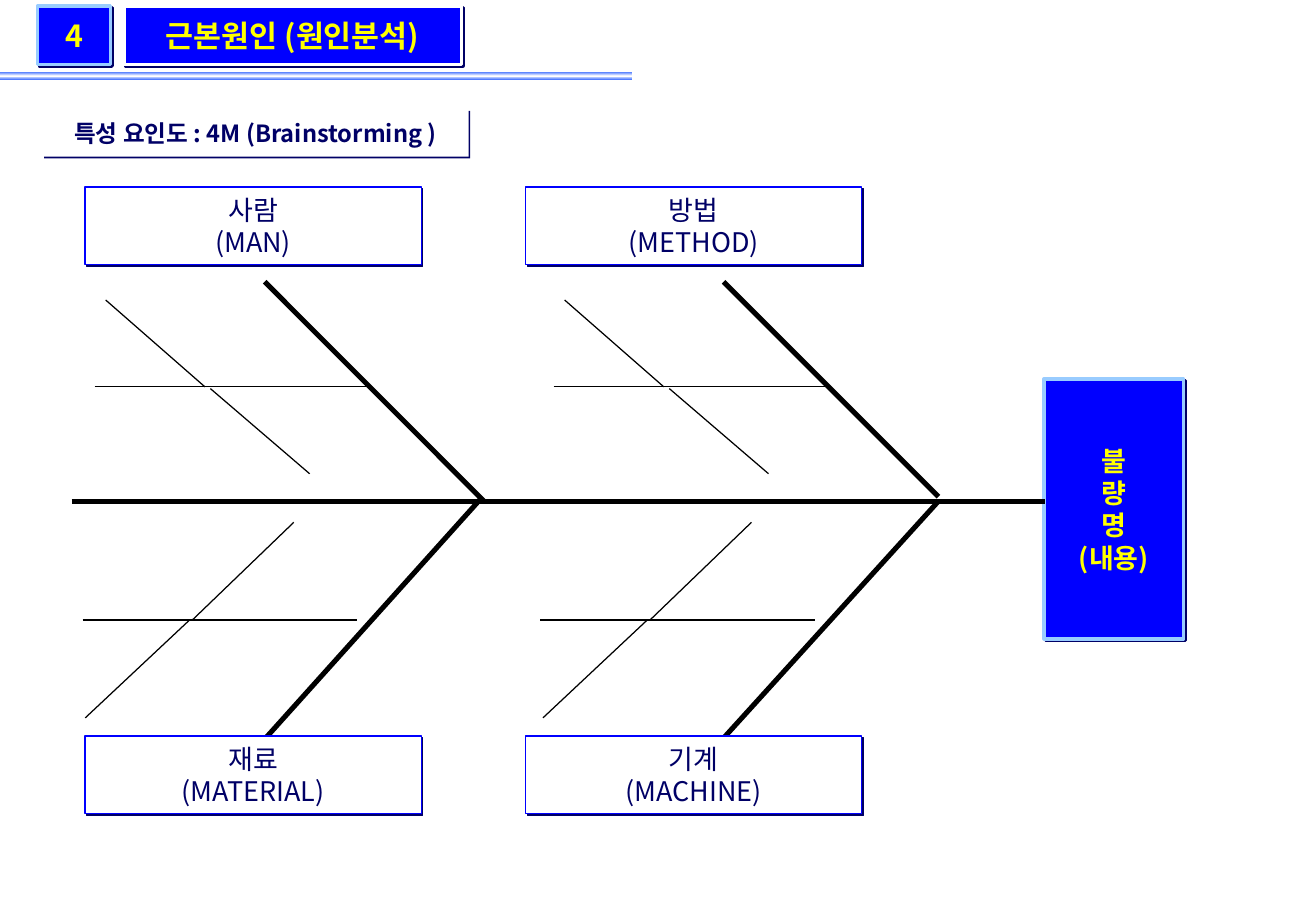
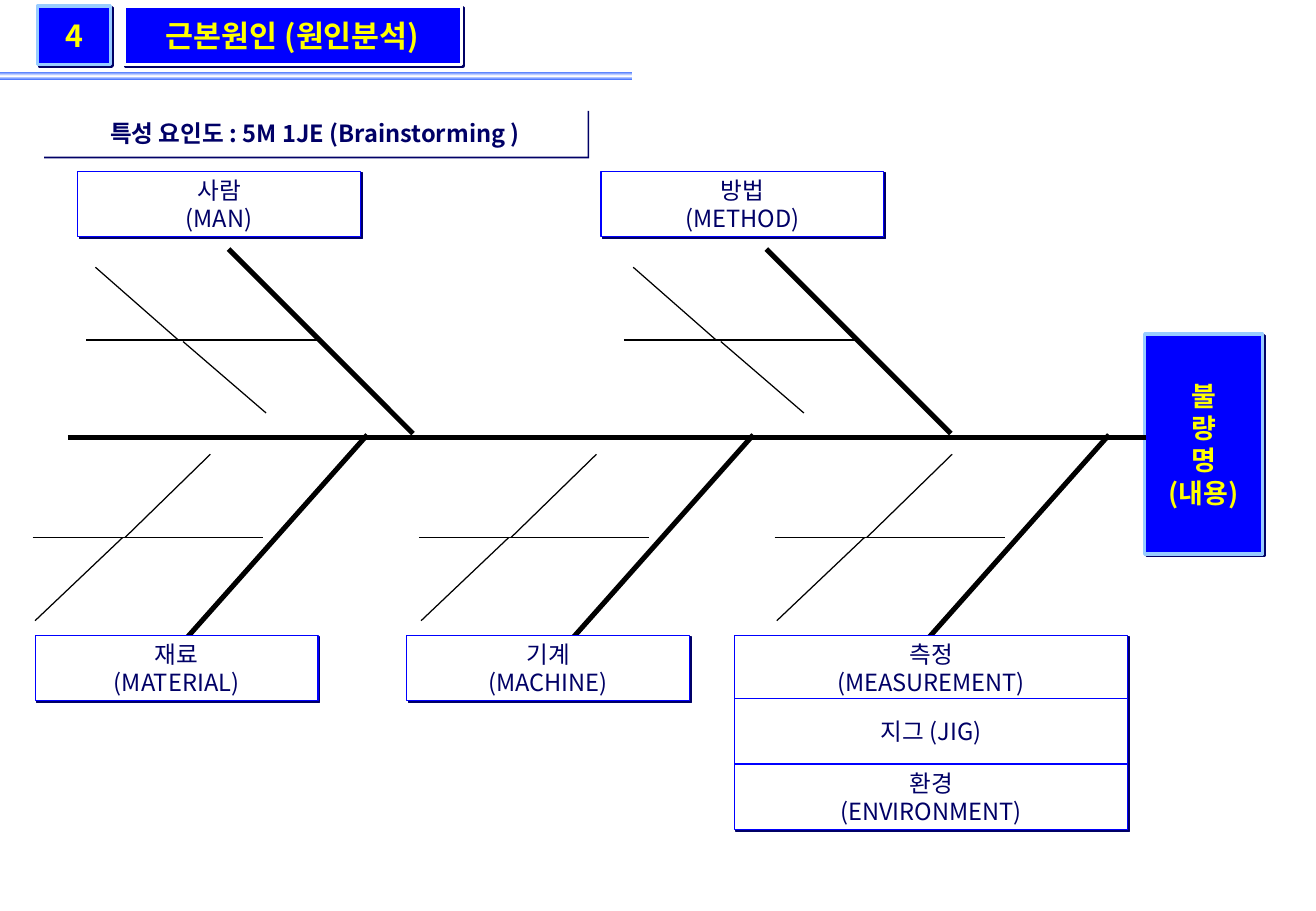
import copy

import pptx
import pptx.dml.color
import pptx.enum.shapes
import pptx.enum.text
import pptx.oxml
import pptx.oxml.ns
import pptx.util
from pptx.util import Inches

COLORS = {
    "blue": "0000FF",
    "sky": "99CCFF",
    "band": "3366FF",
    "navy": "000066",
    "yellow": "FFFF00",
    "white": "FFFFFF",
    "black": "000000",
}
FONT = "Noto Sans CJK KR"
LABEL_SIZE = {"large": 16, "small": 14}

# Twig lines as fractions of the twig box: x1, y1, x2, y2
UPPER_TWIGS = [(0, 0.5, 1, 0.5), (0.04, 0, 0.4, 0.5), (0.42, 0.51, 0.78, 1)]
LOWER_TWIGS = [(0, 0.5, 1, 0.5), (0.77, 0, 0.4, 0.5), (0.39, 0.5, 0.01, 1)]


def qn(tag):
    return pptx.oxml.ns.qn(tag)


def rgb(name):
    return pptx.dml.color.RGBColor.from_string(COLORS[name])


def add_rect(slide, box):
    sp = slide.shapes.add_shape(
        pptx.enum.shapes.MSO_SHAPE.RECTANGLE, *(Inches(v) for v in box))
    sp.shadow.inherit = False
    return sp


def add_shadow(sp):
    """Give the shape a hard navy shadow to the lower right."""
    effects = sp._element.spPr.find(qn("a:effectLst"))
    effects.append(pptx.oxml.parse_xml(
        f'<a:outerShdw {pptx.oxml.ns.nsdecls("a")} blurRad="0" dist="17961" '
        f'dir="2700000" algn="ctr" rotWithShape="0">'
        f'<a:srgbClr val="{COLORS["navy"]}"/></a:outerShdw>'))


def add_panel(slide, box, text, size, fill="white", line=None, width=0.75,
              color="navy", bold=False):
    """Add a shadowed rectangle with centred text."""
    sp = add_rect(slide, box)
    sp.fill.solid()
    sp.fill.fore_color.rgb = rgb(fill)
    if line:
        sp.line.color.rgb = rgb(line)
        sp.line.width = pptx.util.Pt(width)
    else:
        sp.line.fill.background()
    add_shadow(sp)
    tf = sp.text_frame
    tf.word_wrap = False
    tf.vertical_anchor = pptx.enum.text.MSO_ANCHOR.MIDDLE
    tf.text = text
    for p in tf.paragraphs:
        p.alignment = pptx.enum.text.PP_ALIGN.CENTER
        p.font.size = pptx.util.Pt(size)
        p.font.bold = bold
        p.font.color.rgb = rgb(color)
        p.font.name = FONT
        ea = p.font._element.makeelement(qn("a:ea"), {"typeface": FONT})
        p.font._element.append(ea)


def add_line(slide, x1, y1, x2, y2, width):
    line = slide.shapes.add_connector(
        pptx.enum.shapes.MSO_CONNECTOR.STRAIGHT,
        Inches(x1), Inches(y1), Inches(x2), Inches(y2))
    line.line.color.rgb = rgb("black")
    line.line.width = pptx.util.Pt(width)
    spPr = line._element.spPr
    spPr.append(spPr.makeelement(qn("a:effectLst"), {}))


def add_band(slide):
    """Add the header band, blue at both edges and white in the middle."""
    sp = add_rect(slide, (0, 0.59, 5.21, 0.07))
    sp.line.fill.background()
    sp.fill.gradient()
    sp.fill.gradient_angle = 90
    stops = sp.fill.gradient_stops
    for stop, position, color in zip(stops, (0, 1), ("band", "band")):
        stop.position = position
        stop.color.rgb = rgb(color)
    first = stops[0]._gs
    first.addnext(copy.deepcopy(first))
    middle = sp.fill.gradient_stops[1]
    middle.position = 0.5
    middle.color.rgb = rgb("white")


def add_header(slide, subtitle, subtitle_width):
    add_band(slide)
    title = dict(size=18, fill="blue", width=2, color="yellow", bold=True)
    add_panel(slide, (1.02, 0.05, 2.78, 0.48), "근본원인 (원인분석)",
              line="white", **title)
    add_panel(slide, (0.31, 0.05, 0.6, 0.48), "4", line="sky", **title)
    add_panel(slide, (0.35, 0.9, subtitle_width, 0.39), subtitle, 14, bold=True)


def add_twigs(slide, box, twigs):
    left, top, width, height = box
    for x1, y1, x2, y2 in twigs:
        add_line(slide, left + x1 * width, top + y1 * height,
                 left + x2 * width, top + y2 * height, 0.75)


def add_upper_rib(slide, box, joint_y):
    """Add a 45 degree bone down to joint_y, and its twigs."""
    left, top, width, _ = box
    x, y = left + 0.617 * width, top - 0.15
    add_line(slide, x, y, x + joint_y - y, joint_y, 3)
    add_twigs(slide, box, UPPER_TWIGS)


def add_lower_rib(slide, box, joint_y):
    """Add a bone from joint_y down to its label, and its twigs."""
    left, top, width, height = box
    add_line(slide, left + 1.45 * width, joint_y,
             left + 0.58 * width, top + 1.24 * height, 3)
    add_twigs(slide, box, LOWER_TWIGS)


def add_fishbone(slide, head, spine, upper, lower, labels, label_size):
    """Ribs are (twig box, joint height); labels are (box, text)."""
    add_panel(slide, head, "불\n량\n명\n(내용)", 16, fill="blue", line="sky",
              width=2, color="yellow", bold=True)
    left, y = spine
    add_line(slide, left, y, head[0] + 0.01, y, 3)
    for box, joint_y in upper:
        add_upper_rib(slide, box, joint_y)
    for box, joint_y in lower:
        add_lower_rib(slide, box, joint_y)
    for box, text in labels:
        add_panel(slide, box, text, label_size, line="blue")


def add_4m_slide(slide):
    add_header(slide, "특성 요인도 : 4M (Brainstorming )", 3.51)
    w, h = 2.77, 0.64
    add_fishbone(
        slide, head=(8.6, 3.12, 1.15, 2.14), spine=(0.59, 4.13),
        upper=[((x, 2.47, 2.27, 1.43), y) for x, y in ((0.78, 4.13), (4.56, 4.09))],
        lower=[((x, 4.3, 2.26, 1.61), y) for x, y in ((0.68, 4.11), (4.45, 4.13))],
        labels=[((0.7, 1.54, w, h), "사람\n(MAN)"),
                ((4.33, 1.54, w, h), "방법\n(METHOD)"),
                ((0.7, 6.06, w, h), "재료\n(MATERIAL)"),
                ((4.33, 6.06, w, h), "기계\n(MACHINE)")],
        label_size=LABEL_SIZE["large"])


def add_5m_slide(slide):
    add_header(slide, "특성 요인도 : 5M 1JE (Brainstorming )", 4.49)
    w, wide, h = 2.33, 3.24, 0.54
    add_fishbone(
        slide, head=(9.43, 2.75, 0.97, 1.81), spine=(0.56, 3.6),
        upper=[((x, 2.2, 1.9, 1.2), 3.57) for x in (0.71, 5.14)],
        lower=[((x, 3.74, 1.9, 1.37), 3.58) for x in (0.27, 3.45, 6.38)],
        labels=[((0.64, 1.41, w, h), "사람\n(MAN)"),
                ((4.95, 1.41, w, h), "방법\n(METHOD)"),
                ((0.29, 5.23, w, h), "재료\n(MATERIAL)"),
                ((3.35, 5.23, w, h), "기계\n(MACHINE)"),
                ((6.05, 5.23, wide, h), "측정\n(MEASUREMENT)"),
                ((6.05, 5.75, wide, h), "지그 (JIG)"),
                ((6.05, 6.29, wide, h), "환경\n(ENVIRONMENT)")],
        label_size=LABEL_SIZE["small"])


def main():
    prs = pptx.Presentation()
    prs.slide_width, prs.slide_height = Inches(10.84), Inches(7.5)
    for build in (add_4m_slide, add_5m_slide):
        build(prs.slides.add_slide(prs.slide_layouts[6]))
    prs.save("out.pptx")


if __name__ == "__main__":
    main()
